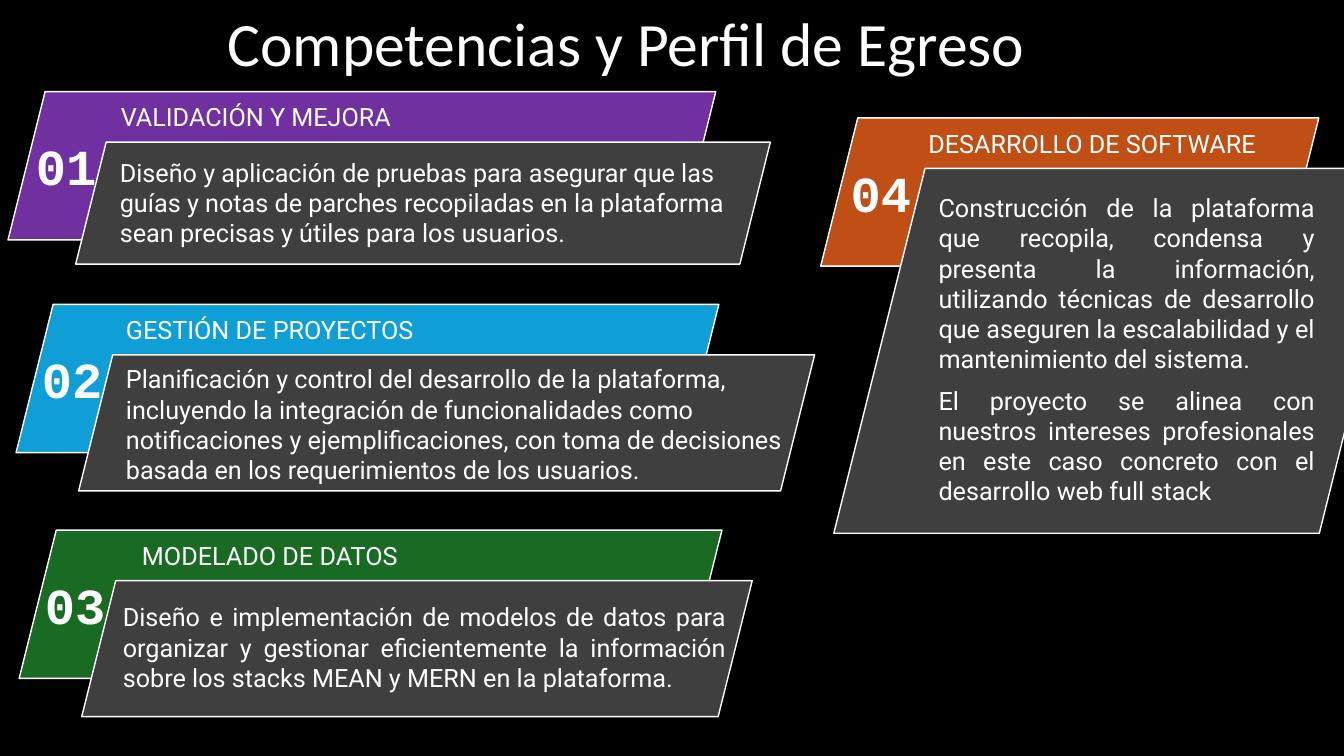
from pptx import Presentation
from pptx.dml.color import RGBColor
from pptx.enum.shapes import MSO_SHAPE
from pptx.enum.text import MSO_AUTO_SIZE, PP_ALIGN
from pptx.util import Inches, Pt

PARALLELOGRAM = MSO_SHAPE.PARALLELOGRAM
GROW = MSO_AUTO_SIZE.SHAPE_TO_FIT_TEXT
LEFT, CENTER, JUSTIFY = PP_ALIGN.LEFT, PP_ALIGN.CENTER, PP_ALIGN.JUSTIFY

COLORS = {
    "background": "000000", "white": "FFFFFF", "body": "3F3F3F",
    "purple": "7030A0", "blue": "0F9ED5", "green": "196B24", "orange": "C04F15",
}

# Content; every length is a percentage of the slide's width or height
TITLE = "Competencias y Perfil de Egreso"
TITLE_BOX = (16.2, 0, 72.47, 11.2)
PANELS = [
    {"number": "01", "heading": "VALIDACIÓN Y MEJORA", "color": "purple", "align": LEFT,
     "text": ["Diseño y aplicación de pruebas para asegurar que las guías y notas de parches "
              "recopiladas en la plataforma sean precisas y útiles para los usuarios."],
     "top": 12.13, "header": (0.6, 52.66), "body": (5.63, 51.69, 16.13),
     "number_x": 1.88, "heading_x": 8.25, "text_box": (8.18, 20.13, 47.64, 13.47)},
    {"number": "02", "heading": "GESTIÓN DE PROYECTOS", "color": "blue", "align": LEFT,
     "text": ["Planificación y control del desarrollo de la plataforma, incluyendo la "
              "integración de funcionalidades como notificaciones y ejemplificaciones, con toma "
              "de decisiones basada en los requerimientos de los usuarios."],
     "top": 40.27, "header": (1.2, 52.29), "body": (5.85, 54.76, 18),
     "number_x": 2.33, "heading_x": 8.63, "text_box": (8.63, 47.47, 51.69, 17.47)},
    {"number": "03", "heading": "MODELADO DE DATOS", "color": "green", "align": JUSTIFY,
     "text": ["Diseño e implementación de modelos de datos para organizar y gestionar "
              "eficientemente la información sobre los stacks MEAN y MERN en la plataforma."],
     "top": 70.13, "header": (1.43, 52.29), "body": (6.08, 49.89, 18),
     "number_x": 2.55, "heading_x": 9.83, "text_box": (8.4, 78.93, 46.36, 13.47)},
    {"number": "04", "heading": "DESARROLLO DE SOFTWARE", "color": "orange", "align": JUSTIFY,
     "text": ["Construcción de la plataforma que recopila, condensa y presenta la información, "
              "utilizando técnicas de desarrollo que aseguren la escalabilidad y el "
              "mantenimiento del sistema.",
              "El proyecto se alinea con nuestros intereses profesionales en este caso concreto "
              "con el desarrollo web full stack"],
     "top": 15.6, "header": (61.07, 37.06), "body": (62.04, 42.91, 48.27),
     "number_x": 62.49, "heading_x": 68.34, "text_box": (69.09, 24.8, 29.48, 43)},
]

# Measures shared by all panels
HEADER_H = 19.6
BODY_DROP, HEADING_DROP, NUMBER_DROP = 6.67, 0.67, 5.13
HEADING_SIZE, NUMBER_SIZE = (30.31, 5.33), (6.08, 9.47)

prs = Presentation()
prs.slide_width, prs.slide_height = Inches(13.33), Inches(7.5)
s = prs.slides.add_slide(prs.slide_layouts[6])


def rgb(name):
    return RGBColor.from_string(COLORS[name])


def place(x, y, w, h):
    width, height = prs.slide_width / 100, prs.slide_height / 100
    return int(x * width), int(y * height), int(w * width), int(h * height)


def add_slab(box, color):
    sp = s.shapes.add_shape(PARALLELOGRAM, *place(*box))
    sp.shadow.inherit = False
    sp.fill.solid()
    sp.fill.fore_color.rgb = rgb(color)
    sp.line.color.rgb = rgb("white")
    sp.line.width = Pt(1)


def add_text(paragraphs, box, size=18, font="Roboto", bold=False, align=LEFT, after=0):
    tf = s.shapes.add_textbox(*place(*box)).text_frame
    tf.word_wrap = True
    tf.auto_size = GROW
    for i, text in enumerate(paragraphs):
        p = tf.paragraphs[0] if i == 0 else tf.add_paragraph()
        p.alignment = align
        p.space_after = Pt(after)
        r = p.add_run()
        r.text = text
        r.font.size, r.font.name, r.font.bold = Pt(size), font, bold
        r.font.color.rgb = rgb("white")


# Background and title
s.background.fill.solid()
s.background.fill.fore_color.rgb = rgb("background")
add_text([TITLE], TITLE_BOX, size=44, font="Calibri")

# Panels: coloured header, grey body, then their texts
for panel in PANELS:
    top = panel["top"]
    header_x, header_w = panel["header"]
    body_x, body_w, body_h = panel["body"]
    add_slab((header_x, top, header_w, HEADER_H), panel["color"])
    add_slab((body_x, top + BODY_DROP, body_w, body_h), "body")
    add_text([panel["heading"]], (panel["heading_x"], top + HEADING_DROP, *HEADING_SIZE))
    add_text(panel["text"], panel["text_box"], align=panel["align"],
             after=8 if panel["align"] == JUSTIFY else 0)
    add_text([panel["number"]], (panel["number_x"], top + NUMBER_DROP, *NUMBER_SIZE),
             size=36, font="Courier New", bold=True, align=CENTER)

prs.save("out.pptx")
